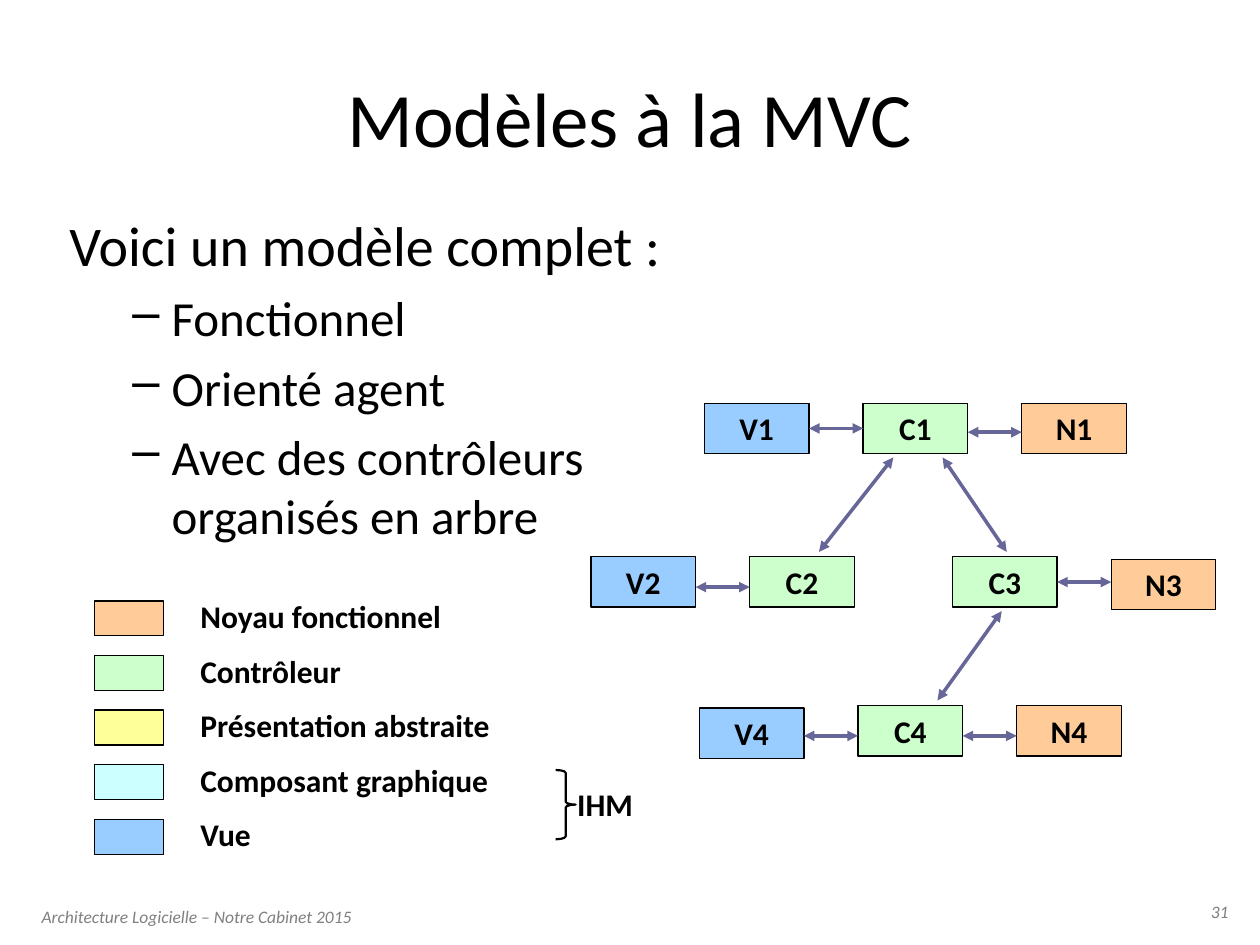
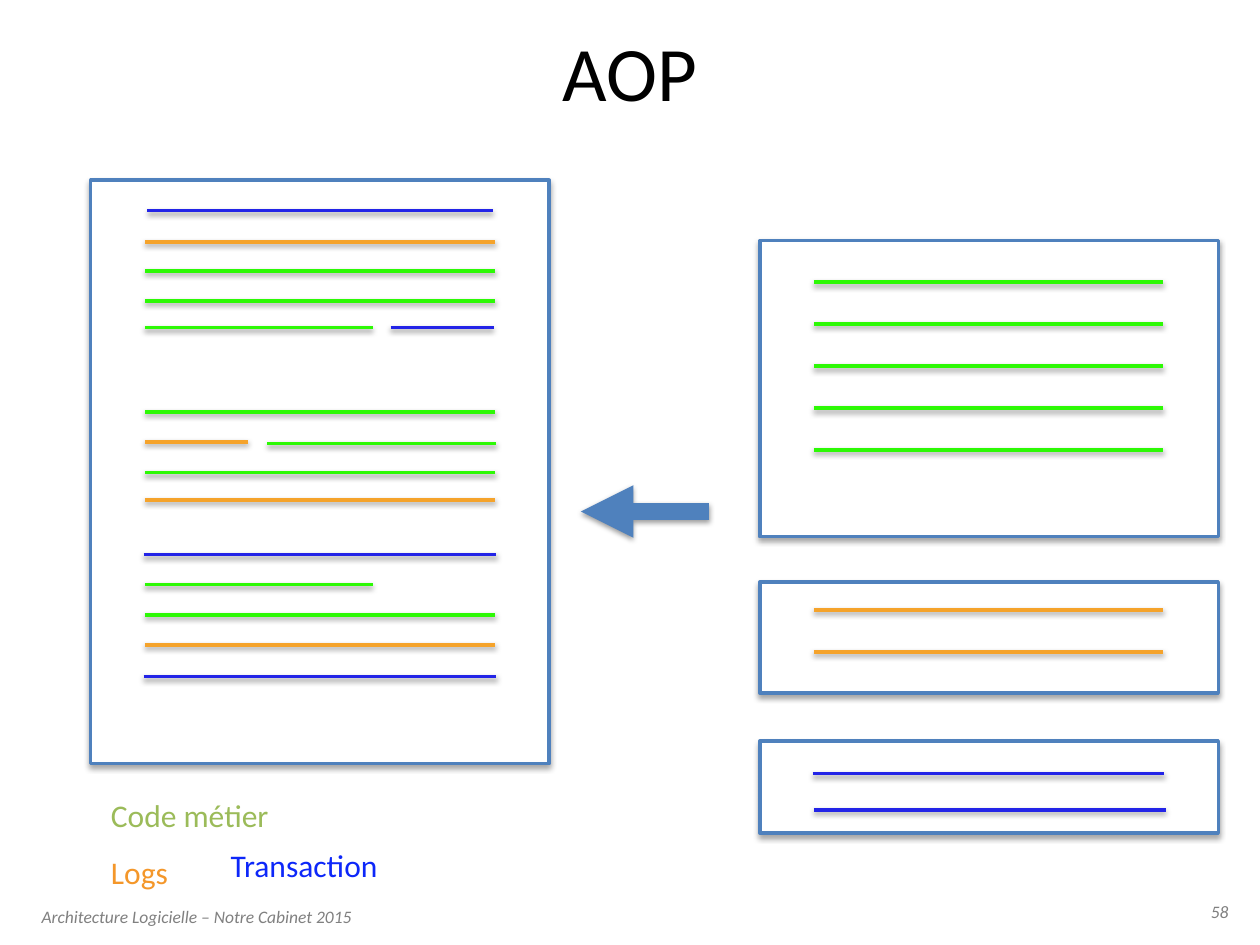
from lxml import etree
from pptx import Presentation
from pptx.dml.color import RGBColor
from pptx.enum.shapes import MSO_CONNECTOR, MSO_SHAPE
from pptx.enum.text import MSO_ANCHOR, PP_ALIGN
from pptx.oxml import parse_xml
from pptx.oxml.ns import nsdecls, qn
from pptx.util import Pt

STRAIGHT = MSO_CONNECTOR.STRAIGHT
RECTANGLE, BRACE = MSO_SHAPE.RECTANGLE, MSO_SHAPE.RIGHT_BRACE
TOP, MIDDLE = MSO_ANCHOR.TOP, MSO_ANCHOR.MIDDLE
LEFT, CENTER, RIGHT = PP_ALIGN.LEFT, PP_ALIGN.CENTER, PP_ALIGN.RIGHT

BLACK = RGBColor(0x00, 0x00, 0x00)
WHITE = RGBColor(0xFF, 0xFF, 0xFF)
GRAY = RGBColor(0x80, 0x80, 0x80)
PEACH = RGBColor(0xFF, 0xCC, 0x99)
MINT = RGBColor(0xCC, 0xFF, 0xCC)
YELLOW = RGBColor(0xFF, 0xFF, 0x99)
CYAN = RGBColor(0xCC, 0xFF, 0xFF)
SKY = RGBColor(0x99, 0xCC, 0xFF)
VIOLET = RGBColor(0x66, 0x66, 0x99)
STEEL = RGBColor(0x4F, 0x81, 0xBD)
GREEN = RGBColor(0x2D, 0xF9, 0x05)
ORANGE = RGBColor(0xF5, 0xA3, 0x2B)
BLUE = RGBColor(0x23, 0x24, 0xE7)
OLIVE_TEXT = RGBColor(0x9B, 0xBB, 0x59)
ORANGE_TEXT = RGBColor(0xF4, 0x97, 0x2A)
BLUE_TEXT = RGBColor(0x0D, 0x27, 0xF9)

FRAME = {"word_wrap": True, "vertical_anchor": TOP, "margin_left": Pt(3.6),
         "margin_right": Pt(3.6), "margin_top": Pt(3.6), "margin_bottom": Pt(3.6)}
TITLE = {"name": "Calibri", "size": Pt(44)}
LEAD = {"name": "Calibri", "size": Pt(32)}
ITEM = {"name": "Calibri", "size": Pt(28)}
LABEL = {"name": "Calibri", "size": Pt(18), "bold": True}
KEY = {"name": "Calibri", "size": Pt(18)}
FOOTER = {"name": "Calibri", "size": Pt(10), "italic": True}

FLAT = f"<a:effectLst {nsdecls('a')}/>"
SHADOW = (f"<a:effectLst {nsdecls('a')}>"
          '<a:outerShdw blurRad="38100" dist="{}" dir="5400000" rotWithShape="0">'
          '<a:srgbClr val="000000"><a:alpha val="{}"/></a:srgbClr>'
          "</a:outerShdw></a:effectLst>")
PANEL_SHADOW = SHADOW.format(22860, 35000)
LINE_SHADOW = SHADOW.format(20320, 38000)


def write(box, text, look, color=BLACK, align=LEFT):
    frame = box.text_frame
    for name, value in FRAME.items():
        setattr(frame, name, value)
    para = frame.add_paragraph() if frame.text else frame.paragraphs[0]
    para.text = text
    para.alignment = align
    for span in para.runs:
        span.font.color.rgb = color
        for name, value in look.items():
            setattr(span.font, name, value)
    return para


def outline(item, color, weight, effect=FLAT, ends=()):
    item.line.color.rgb = color
    item.line.width = Pt(weight)
    properties = item._element.spPr
    for end in ends:
        etree.SubElement(properties.find(qn("a:ln")), qn(f"a:{end}"), type="triangle")
    properties.append(parse_xml(effect))


deck = Presentation()
deck.slide_width, deck.slide_height = Pt(720), Pt(540)

pages = []
for title, number, top, height in [("Modèles à la MVC", "31", 21.6, 90), ("AOP", "58", 7.2, 67)]:
    page = deck.slides.add_slide(deck.slide_layouts[6])
    pages.append(page)
    box = page.shapes.add_textbox(Pt(20.2), Pt(514), Pt(230), Pt(29.5))
    write(box, "Architecture Logicielle – Notre Cabinet 2015", FOOTER, GRAY)
    box = page.shapes.add_textbox(Pt(680), Pt(511.2), Pt(25.6), Pt(18))
    write(box, number, FOOTER, GRAY, RIGHT)
    box = page.shapes.add_textbox(Pt(36), Pt(top), Pt(648), Pt(height))
    write(box, title, TITLE, align=CENTER)
    box.text_frame.vertical_anchor = MIDDLE
model_page, aspect_page = pages

body = model_page.shapes.add_textbox(Pt(36), Pt(116.6), Pt(648), Pt(356.4))
write(body, "Voici un modèle complet :", LEAD)
for text in ["Fonctionnel", "Orienté agent", "Avec des contrôleurs\norganisés en arbre"]:
    para = write(body, text, ITEM)
    para.space_before = Pt(6)
    layout = para._p.get_or_add_pPr()
    layout.set("marL", str(Pt(58.5)))
    layout.set("indent", str(-Pt(22.5)))
    etree.SubElement(layout, qn("a:buChar"), char="–")

NODE_WIDTH, NODE_HEIGHT, NODE_STEP = 59.8, 28.8, 90.7
NODE_COLORS = {"V": SKY, "C": MINT, "N": PEACH}
CONTROLLERS = [
    ("1", 493.2, 230.4, [("V", 0, 244.8), ("N", 0, 247)]),
    ("2", 428.4, 318.2, [("V", 0, 335.5)]),
    ("3", 544.3, 318.2, [("N", 1.4, 332.6)]),
    ("4", 490.3, 403.2, [("V", 1.4, 420.5), ("N", 0, 420.5)]),
]
LEGEND = [("Noyau fonctionnel", PEACH), ("Contrôleur", MINT), ("Présentation abstraite", YELLOW),
          ("Composant graphique", CYAN), ("Vue", SKY)]

nodes = []
arrows = [(538.6, 261.4, 575.3, 315.4), (510.5, 261.4, 468, 315.4), (572.4, 349.2, 535.7, 400.3)]
for number, left, top, neighbours in CONTROLLERS:
    nodes.append(("C" + number, left, top))
    for kind, drop, arrow_y in neighbours:
        side = 1 if kind == "N" else -1
        nodes.append((kind + number, left + side * NODE_STEP, top + drop))
        right_edge = max(left, left + side * NODE_STEP)
        arrows.append((right_edge, arrow_y, right_edge - NODE_STEP + NODE_WIDTH, arrow_y))

rectangles = [(left, top, NODE_WIDTH, NODE_HEIGHT, NODE_COLORS[name[0]], name)
              for name, left, top in nodes]
for row, (text, color) in enumerate(LEGEND):
    top = 343.4 + 31.2 * row
    rectangles.append((54, top, 39.6, 20, color, ""))
    box = model_page.shapes.add_textbox(Pt(110.9), Pt(top - 5.8), Pt(244), Pt(28))
    write(box, text, LABEL)

for left, top, width, height, color, text in rectangles:
    rectangle = model_page.shapes.add_shape(RECTANGLE, Pt(left), Pt(top), Pt(width), Pt(height))
    rectangle.fill.solid()
    rectangle.fill.fore_color.rgb = color
    outline(rectangle, BLACK, 0.75)
    if text:
        write(rectangle, text, LABEL, align=CENTER)

for start_x, start_y, end_x, end_y in arrows:
    arrow = model_page.shapes.add_connector(STRAIGHT, Pt(start_x), Pt(start_y), Pt(end_x), Pt(end_y))
    outline(arrow, VIOLET, 2, ends=("headEnd", "tailEnd"))

brace = model_page.shapes.add_shape(BRACE, Pt(317.5), Pt(440), Pt(11.5), Pt(39.6))
brace.adjustments[0] = 0.14
brace.fill.background()
outline(brace, BLACK, 1.25)
box = model_page.shapes.add_textbox(Pt(326.2), Pt(445), Pt(54), Pt(28))
write(box, "IHM", LABEL)

PANELS = [(434.2, 137.5, 169.2), (434.2, 332.6, 63.4), (434.2, 423.4, 52.6), (51.8, 103, 333.4)]
for left, top, height in PANELS:
    panel = aspect_page.shapes.add_shape(RECTANGLE, Pt(left), Pt(top), Pt(262), Pt(height))
    panel.fill.solid()
    panel.fill.fore_color.rgb = WHITE
    outline(panel, STEEL, 2, PANEL_SHADOW)

MIXED_LEFT, MIXED_RIGHT = 82.8, 283
code_lines = [(GREEN, 465.1, 664.6, 161.3 + 24 * row) for row in range(5)]
code_lines += [(ORANGE, 465.1, 664.6, 348.5 + 24 * row) for row in range(2)]
code_lines += [(BLUE, 464.4, 665.3, 442.1), (BLUE, 465.1, 666, 463)]
for color, heights in [(GREEN, [154.8, 172.1, 235.4, 270, 351.4]), (ORANGE, [138.2, 285.8, 368.6])]:
    code_lines += [(color, MIXED_LEFT, MIXED_RIGHT, y) for y in heights]
code_lines += [
    (BLUE, 84.2, 281.5, 120.2),
    (GREEN, MIXED_LEFT, 213.1, 187.2),
    (BLUE, 223.2, 282.2, 187.2),
    (ORANGE, MIXED_LEFT, 141.8, 252.7),
    (GREEN, 152.6, 283.7, 253.4),
    (BLUE, 82.1, 283.7, 316.8),
    (GREEN, MIXED_LEFT, 213.1, 334.1),
    (BLUE, 82.1, 283.7, 386.6),
]
for color, left, right, y in code_lines:
    code_line = aspect_page.shapes.add_connector(STRAIGHT, Pt(left), Pt(y), Pt(right), Pt(y))
    outline(code_line, color, 2, LINE_SHADOW)

for text, color, left, top in [("Code métier", OLIVE_TEXT, 59.8, 451.4),
                               ("Logs", ORANGE_TEXT, 59.8, 483.8),
                               ("Transaction", BLUE_TEXT, 128.2, 480.2)]:
    box = aspect_page.shapes.add_textbox(Pt(left), Pt(top), Pt(180.7), Pt(28))
    write(box, text, KEY, color)

weaving = aspect_page.shapes.add_connector(STRAIGHT, Pt(405.4), Pt(292.3), Pt(331.9), Pt(292.3))
outline(weaving, STEEL, 10, LINE_SHADOW, ends=("tailEnd",))

deck.save("out.pptx")
